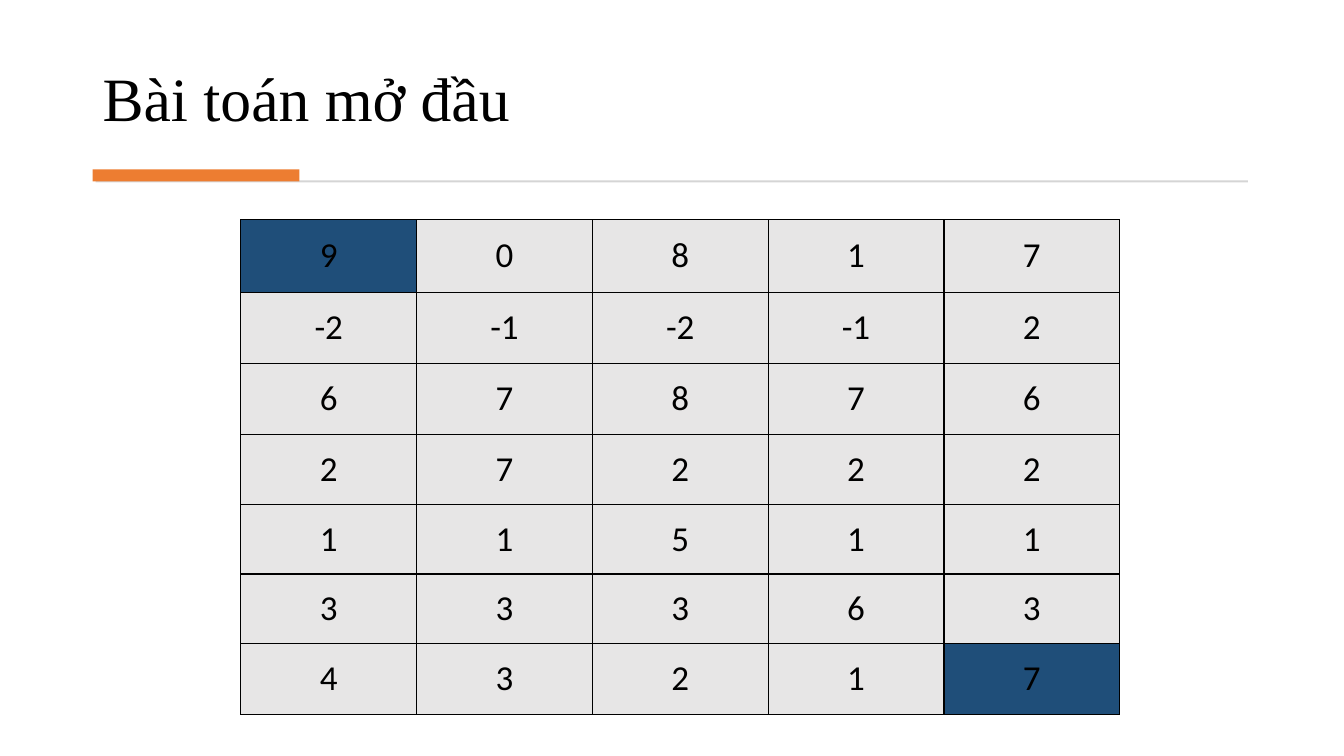
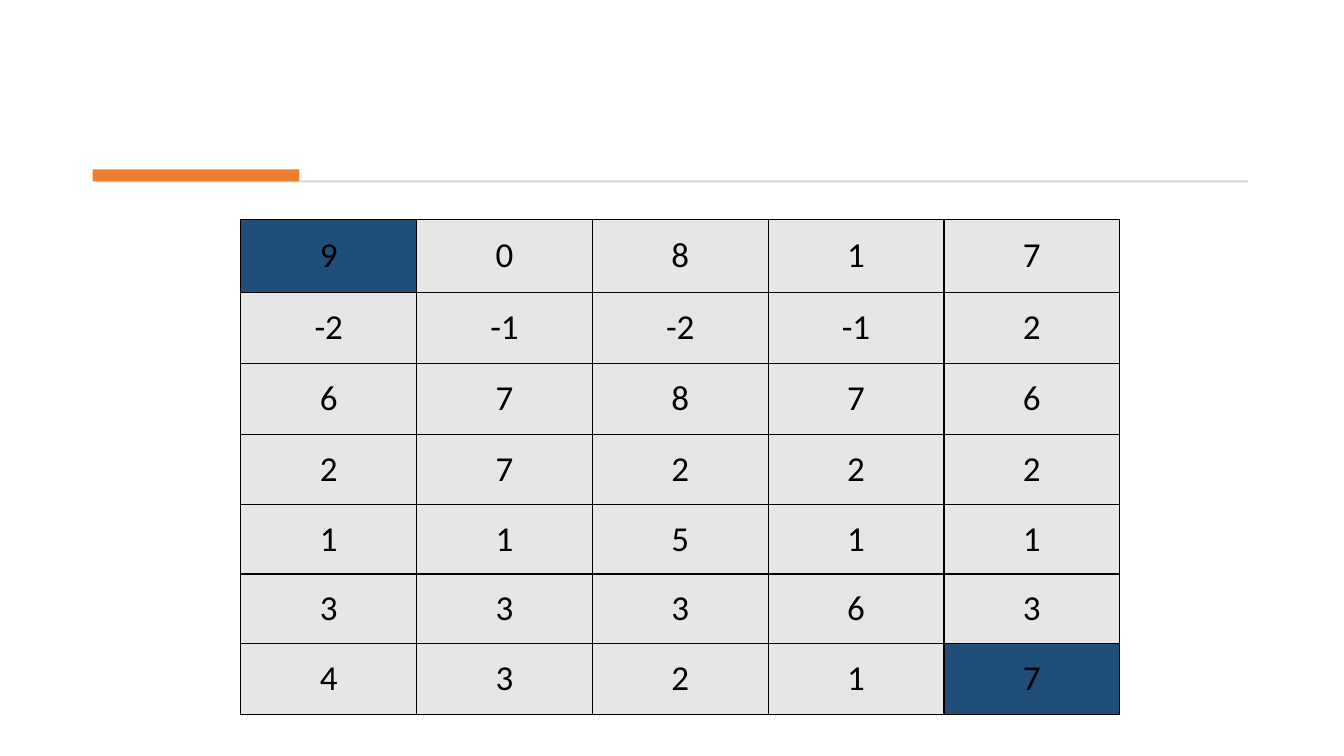
from lxml.etree import SubElement
from pptx import Presentation
from pptx.dml.color import RGBColor
from pptx.enum.shapes import MSO_SHAPE as Shape
from pptx.enum.text import MSO_ANCHOR as Anchor, PP_ALIGN as Align
from pptx.oxml import parse_xml
from pptx.oxml.ns import nsdecls, qn
from pptx.util import Inches, Pt

BLACK = RGBColor(0x00, 0x00, 0x00)
ORANGE = RGBColor(0xED, 0x7D, 0x31)
RULE_GREY = RGBColor(0xD5, 0xD5, 0xD5)
CELL_GREY = RGBColor(0xE7, 0xE6, 0xE6)
NAVY = RGBColor(0x1F, 0x4E, 0x79)

SLIDE_WIDTH = Inches(13.33)
SLIDE_HEIGHT = Inches(7.5)
TITLE_FONT = "Times New Roman"
NUMBER_FONT = "Calibri"

TITLES = ["Bài toán mở đầu", None]
MATRIX = [
    [9, 0, 8, 1, 7],
    [-2, -1, -2, -1, 2],
    [6, 7, 8, 7, 6],
    [2, 7, 2, 2, 2],
    [1, 1, 5, 1, 1],
    [3, 3, 3, 6, 3],
    [4, 3, 2, 1, 7],
]
START = (0, 0)
GOAL = (len(MATRIX) - 1, len(MATRIX[0]) - 1)
ROW_SHARES = [9.6, 9.4, 9.4, 9.27, 9.2, 9.2, 9.4]


def across(percent):
    return round(SLIDE_WIDTH * percent / 100)


def down(percent):
    return round(SLIDE_HEIGHT * percent / 100)


def area(left, top, width, height):
    return across(left), down(top), across(width), down(height)


def style_runs(paragraph, font_name, size):
    for run in paragraph.runs:
        run.font.name = font_name
        run.font.size = Pt(size)
        run.font.color.rgb = BLACK


def add_title(slide, title):
    frame = slide.shapes.add_textbox(*area(6.9, 3.73, 86.2, 14.8)).text_frame
    frame.word_wrap = True
    frame.vertical_anchor = Anchor.BOTTOM
    frame.text = title
    heading = frame.paragraphs[0]
    heading.line_spacing = 0.9
    style_runs(heading, TITLE_FONT, 44)


def add_bar(slide, bounds, color):
    bar = slide.shapes.add_shape(Shape.RECTANGLE, *bounds)
    bar.shadow.inherit = False
    bar.fill.solid()
    bar.fill.fore_color.rgb = color
    bar.line.fill.background()


def add_header_rule(slide):
    add_bar(slide, area(7.12, 23.87, 85.73, 0.27), RULE_GREY)
    add_bar(slide, area(6.9, 22.4, 15.38, 1.6), ORANGE)


def add_borders(cell):
    properties = cell._tc.get_or_add_tcPr()
    for position, side in enumerate(("lnL", "lnR", "lnT", "lnB")):
        border = parse_xml(f'<a:{side} {nsdecls("a")} w="{Pt(1)}"/>')
        fill = SubElement(border, qn("a:solidFill"))
        SubElement(fill, qn("a:srgbClr"), val=str(BLACK))
        properties.insert(position, border)


def fill_cell(cell, value, color):
    cell.fill.solid()
    cell.fill.fore_color.rgb = color
    add_borders(cell)
    cell.vertical_anchor = Anchor.MIDDLE
    cell.margin_left = cell.margin_right = Inches(0.14)
    cell.margin_top = cell.margin_bottom = Inches(0.07)
    cell.text_frame.text = str(value)
    number = cell.text_frame.paragraphs[0]
    number.alignment = Align.CENTER
    style_runs(number, NUMBER_FONT, 25)


def add_matrix(slide):
    bounds = area(17.92, 29.07, 65.4, sum(ROW_SHARES))
    grid = slide.shapes.add_table(len(MATRIX), len(MATRIX[0]), *bounds).table
    for row, share in zip(grid.rows, ROW_SHARES):
        row.height = down(share)
    for r, values in enumerate(MATRIX):
        for c, value in enumerate(values):
            color = NAVY if (r, c) in (START, GOAL) else CELL_GREY
            fill_cell(grid.cell(r, c), value, color)


def main():
    deck = Presentation()
    deck.slide_width = SLIDE_WIDTH
    deck.slide_height = SLIDE_HEIGHT
    for title in TITLES:
        slide = deck.slides.add_slide(deck.slide_layouts[6])
        if title:
            add_title(slide, title)
        add_header_rule(slide)
        add_matrix(slide)
    deck.save("out.pptx")


if __name__ == "__main__":
    main()
